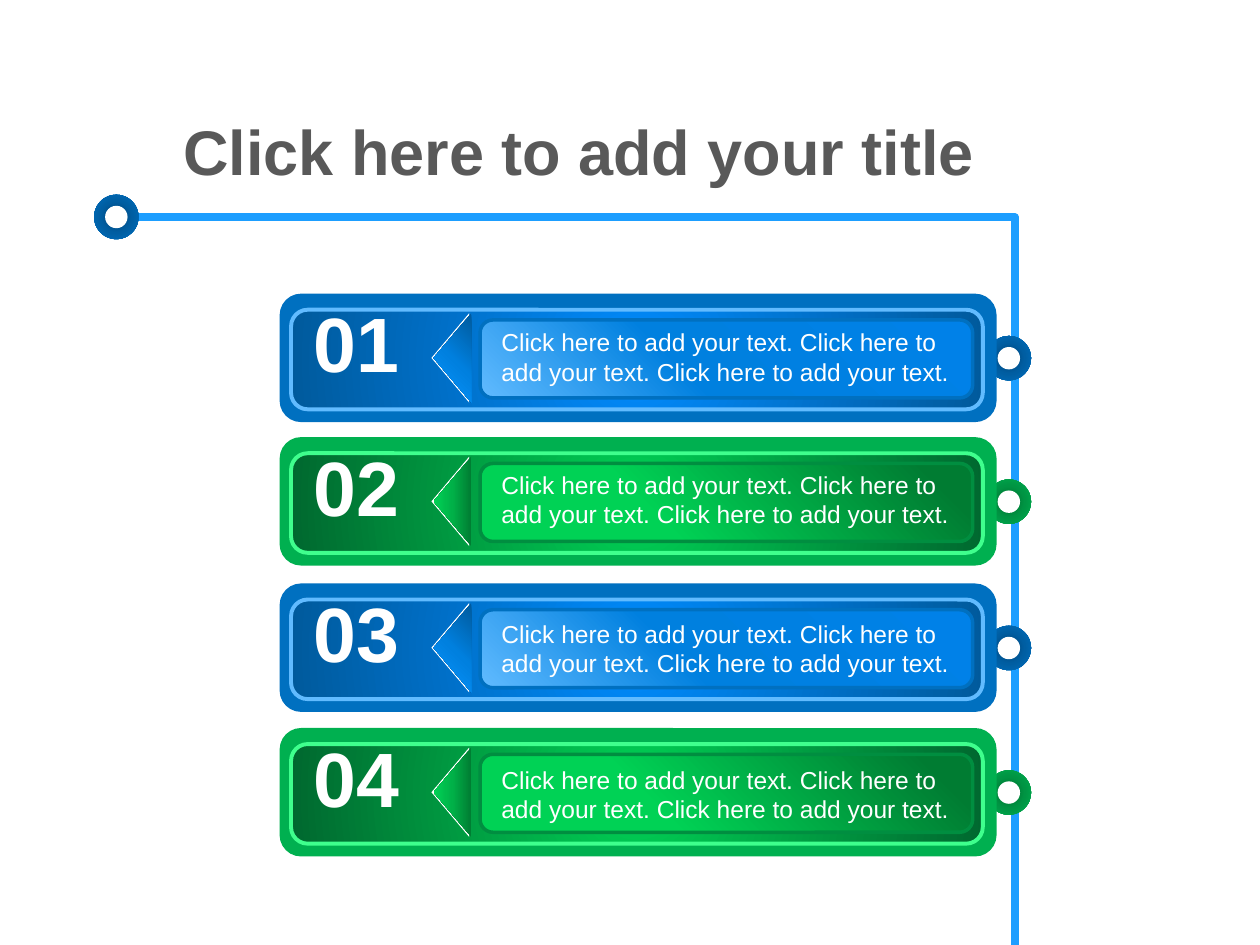
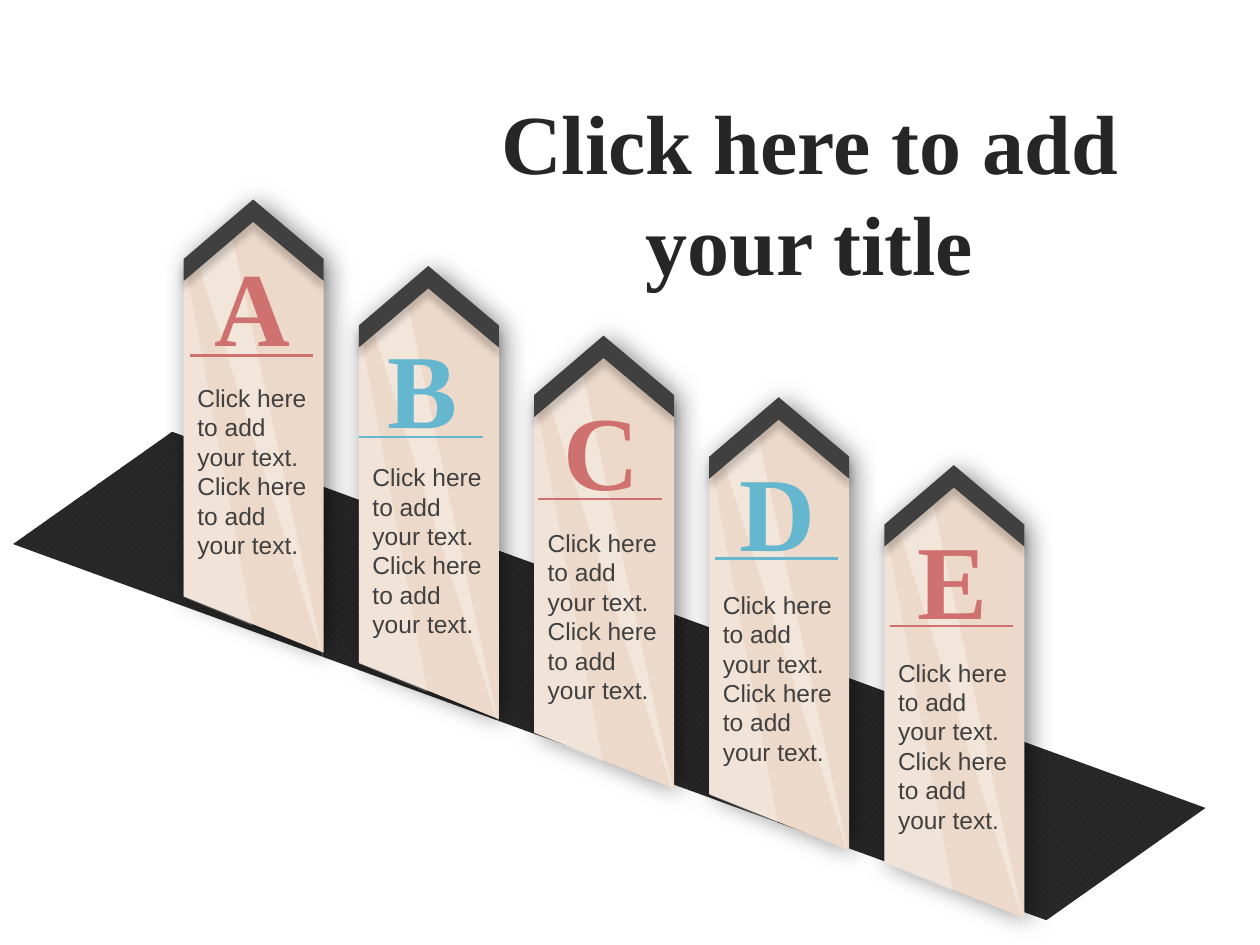
import dataclasses

import pptx
import pptx.dml.color
import pptx.enum.dml
import pptx.enum.shapes
import pptx.enum.text
import pptx.oxml
import pptx.oxml.ns
import pptx.util
from lxml import etree

Pt = pptx.util.Pt
qn = pptx.oxml.ns.qn
SHAPE = pptx.enum.shapes.MSO_SHAPE
CENTER = pptx.enum.text.PP_ALIGN.CENTER


@dataclasses.dataclass(frozen=True)
class Theme:
    sans: str = "Arial"
    serif: str = "Times New Roman"
    white: str = "FFFFFF"
    track: str = "1D9EFF"
    title_grey: str = "595959"
    title_black: str = "262626"
    body_grey: str = "404040"
    panel: str = "EDD9C9"
    red: str = "CF716F"
    sky: str = "64B7CE"
    checker: str = "343434"
    shadow: str = "000000"
    body_size: float = 14
    number_size: float = 44
    letter_size: float = 60
    banner_title_size: float = 36
    panel_title_size: float = 48


@dataclasses.dataclass(frozen=True)
class Palette:
    """Colours of one banner; gradients are lists of (position, colour)."""
    frame: str
    rim: str
    slot_line: str
    ring: tuple
    inner: tuple
    slot: tuple
    arrow: tuple
    arrow_angle: int


THEME = Theme()
BLUE = Palette(
    frame="0070C0", rim="61BBFF", slot_line="0070C0",
    ring=((0, "004272"), (50, "005EA2"), (100, "0070C0")),
    inner=((0, "008BFE"), (100, "005A9C")),
    slot=((0, "61BBFF"), (41, "0080DF"), (100, "0081E8")),
    arrow=((0, "005A9C"), (50, "0080DF"), (100, "0996FF")), arrow_angle=225)
GREEN = Palette(
    frame="00B050", rim="3FFF8D", slot_line="008E40",
    ring=((0, "00682F"), (50, "009443"), (100, "00B050")),
    inner=((0, "00D255"), (100, "00682F")),
    slot=((35, "00D255"), (91, "007C32")),
    arrow=((0, "007C32"), (50, "00B148"), (100, "00D255")), arrow_angle=270)

TITLE = "Click here to add your title"
SENTENCE = "Click here to add your text."
BANNER_TEXT = " ".join([SENTENCE] * 3)
PANEL_TEXT = " ".join([SENTENCE] * 2)

# number, palette, top of the banner, top of its text
BANNERS = [
    ("01", BLUE, 167.8, 183.6),
    ("02", GREEN, 249.8, 265),
    ("03", BLUE, 333.4, 350),
    ("04", GREEN, 416, 433.4),
]

# letter, colour, top of the panel, letter left and top, rule height, text top
PANELS = [
    ("A", THEME.red, 116, 106, 148.3, 203, 215.3),
    ("B", THEME.sky, 154, 203, 195.1, 249.8, 260.6),
    ("C", THEME.red, 193.8, 305.3, 230.4, 285.1, 298.1),
    ("D", THEME.sky, 229, 406, 265.7, 319, 333.4),
    ("E", THEME.red, 267.8, 506, 304.6, 357.8, 372.2),
]
PANEL_LEFT, PANEL_STEP = 105, 100.1

# outlines measured from the left edge and the top of a panel
BOARD = [(39.7, 0), (80, 34), (80, 257), (0, 224.8), (0, 34)]
GLARE = [(0, 31), (39.2, 241.5), (0, 225.3)]
ROOF = [(39.7, -2), (80, 32), (80, 44.6), (39.7, 10.8), (0, 44.6), (0, 32)]


def rgb(colour):
    return pptx.dml.color.RGBColor.from_string(colour)


def points(*lengths):
    return [Pt(length) for length in lengths]


def finish(shape, fill=None, line=None, line_width=0, alpha=None):
    """Set flat fill and line, and take the theme shadow away."""
    shape.shadow.inherit = False
    if fill:
        shape.fill.solid()
        shape.fill.fore_color.rgb = rgb(fill)
    else:
        shape.fill.background()
    if alpha is not None:
        colour = shape._element.spPr.find(qn("a:solidFill"))[0]
        etree.SubElement(colour, qn("a:alpha"), val=str(alpha * 1000))
    if line:
        shape.line.color.rgb = rgb(line)
        shape.line.width = Pt(line_width)
    else:
        shape.line.fill.background()
    return shape


def add_preset(page, kind, left, top, width, height, **look):
    shape = page.shapes.add_shape(kind, *points(left, top, width, height))
    return finish(shape, **look)


def add_outline(page, vertices, closed=True, **look):
    vertices = [tuple(points(*vertex)) for vertex in vertices]
    builder = page.shapes.build_freeform(*vertices[0])
    builder.add_line_segments(vertices[1:], close=closed)
    return finish(builder.convert_to_shape(), **look)


def set_gradient(shape, stops, angle=None):
    """Stops are (position, colour[, alpha]); without an angle it is radial."""
    gradient = etree.Element(qn("a:gradFill"), rotWithShape="1")
    stop_list = etree.SubElement(gradient, qn("a:gsLst"))
    for position, colour, *alpha in stops:
        stop = etree.SubElement(stop_list, qn("a:gs"), pos=str(position * 1000))
        tone = etree.SubElement(stop, qn("a:srgbClr"), val=colour)
        for value in alpha:
            etree.SubElement(tone, qn("a:alpha"), val=str(value * 1000))
    if angle is None:
        circle = etree.SubElement(gradient, qn("a:path"), path="circle")
        middle = dict.fromkeys("ltrb", "50000")
        etree.SubElement(circle, qn("a:fillToRect"), **middle)
    else:
        etree.SubElement(gradient, qn("a:lin"), ang=str(angle * 60000), scaled="0")
    shape.fill.background()
    properties = shape._element.spPr
    properties.replace(properties.find(qn("a:noFill")), gradient)


def add_shadow(shape, alpha, blur, distance, angle):
    effects = shape._element.spPr.find(qn("a:effectLst"))
    shadow = etree.SubElement(
        effects, qn("a:outerShdw"), blurRad=str(Pt(blur)), dist=str(Pt(distance)),
        dir=str(angle * 60000), algn="ctr", rotWithShape="0")
    colour = etree.SubElement(shadow, qn("a:srgbClr"), val=THEME.shadow)
    etree.SubElement(colour, qn("a:alpha"), val=str(alpha * 1000))


def add_text(page, text, left, top, width, height, size, colour,
             font=THEME.sans, bold=False, align=None, spacing=None):
    box = page.shapes.add_textbox(*points(left, top, width, height))
    frame = box.text_frame
    frame.word_wrap = True
    frame.auto_size = pptx.enum.text.MSO_AUTO_SIZE.SHAPE_TO_FIT_TEXT
    para = frame.paragraphs[0]
    para.alignment = align
    para.line_spacing = spacing
    span = para.add_run()
    span.text = text
    span.font.name = font
    span.font.size = Pt(size)
    span.font.bold = bold
    span.font.color.rgb = rgb(colour)
    return box


def add_rule(page, left, top, width, colour):
    rule = page.shapes.add_connector(
        pptx.enum.shapes.MSO_CONNECTOR.STRAIGHT, *points(left, top, left + width, top))
    rule.line.color.rgb = rgb(colour)
    rule.line.width = Pt(1.5)
    etree.SubElement(rule._element.spPr, qn("a:effectLst"))


def add_ring(page, left, top, stops):
    set_gradient(add_preset(page, SHAPE.OVAL, left, top, 25.4, 25.4), stops)
    add_preset(page, SHAPE.OVAL, left + 6.3, top + 6.3, 12.8, 12.8, fill=THEME.white)


def add_banner(page, number, palette, top, text_top):
    add_ring(page, 563.8, top + 24.2, palette.ring)
    rounded = SHAPE.ROUNDED_RECTANGLE
    add_preset(page, rounded, 159.8, top, 409.7, 73.4, fill=palette.frame)
    inner = add_preset(page, rounded, 166.3, top + 9.2, 395.3, 56.9,
                       line=palette.rim, line_width=2.25)
    set_gradient(inner, palette.inner)
    slot = add_preset(page, rounded, 274.3, top + 15, 281.5, 44.6,
                      line=palette.slot_line, line_width=2)
    set_gradient(slot, palette.slot, 315)
    for left in (231.8, 233):
        arrow = add_preset(page, SHAPE.ISOSCELES_TRIANGLE, left, top + 25.9, 51.1, 21.6,
                           fill=THEME.white)
        arrow.rotation = 270
    set_gradient(arrow, palette.arrow, palette.arrow_angle)
    add_text(page, number, 160.6, top + 7.9, 85.7, 49.7, THEME.number_size,
             THEME.white, bold=True, align=CENTER, spacing=0.8)
    add_text(page, BANNER_TEXT, 279.4, text_top, 284.4, 41, THEME.body_size, THEME.white)


def build_banner_page(page):
    add_outline(page, [(70.6, 124.2), (580, 124.2), (580, 540)], closed=False,
                line=THEME.track, line_width=4.5)
    add_ring(page, 53.8, 111.3, BLUE.ring)
    for banner in BANNERS:
        add_banner(page, *banner)
    add_text(page, TITLE, 69.1, 60.5, 523.4, 51.1, THEME.banner_title_size,
             THEME.title_grey, bold=True, align=CENTER)


def add_panel(page, left, letter, colour, top, letter_left, letter_top, rule_top, text_top):
    def place(outline):
        return [(left + x, top + y) for x, y in outline]

    board = add_outline(page, place(BOARD), fill=THEME.panel)
    add_shadow(board, alpha=49, blur=15, distance=3, angle=0)
    add_outline(page, place(GLARE), fill=THEME.white, alpha=28)
    sliver = add_preset(page, SHAPE.RIGHT_TRIANGLE, left + 42.6, top + 19.4, 23, 244,
                        fill=THEME.white, alpha=32)
    sliver.rotation = 342.4
    sliver._element.spPr.xfrm.set("flipV", "1")
    roof = add_outline(page, place(ROOF), fill=THEME.body_grey)
    add_shadow(roof, alpha=19, blur=4, distance=5, angle=90)
    add_text(page, letter, letter_left, letter_top, 77, 67.7, THEME.letter_size, colour,
             THEME.serif, bold=True, align=CENTER, spacing=0.8)
    add_rule(page, letter_left + 2.4, rule_top, 70.7, colour)
    add_text(page, PANEL_TEXT, left + 0.7, text_top, 77, 108.7, THEME.body_size,
             THEME.body_grey)


def add_slope(page, left, top, width, height):
    slope = add_preset(page, SHAPE.PARALLELOGRAM, left, top, width, height)
    slope.adjustments[0] = 0.695
    slope.rotation = 20
    return slope


def build_panel_page(page):
    floor = add_slope(page, 2.2, 340.6, 691.9, 91.4)
    floor.fill.patterned()
    floor.fill.pattern = pptx.enum.dml.MSO_PATTERN.LARGE_CHECKER_BOARD
    floor.fill.fore_color.rgb = rgb(THEME.checker)
    floor.fill.back_color.rgb = rgb(THEME.title_black)
    for index, panel in enumerate(PANELS):
        add_panel(page, PANEL_LEFT + index * PANEL_STEP, *panel)
    title = add_text(page, TITLE, 401, -73.4, 131, 374.4, THEME.panel_title_size,
                     THEME.title_black, THEME.serif, bold=True, align=CENTER)
    title.rotation = 270
    title.text_frame._txBody.bodyPr.set("vert", "eaVert")
    front_edge = add_slope(page, -6.5, 393.1, 646.6, 31.7)
    set_gradient(front_edge, [(0, THEME.title_black), (40, THEME.body_grey, 0)], 270)


def main():
    deck = pptx.Presentation()
    deck.slide_width, deck.slide_height = points(720, 540)
    for build in (build_banner_page, build_panel_page):
        build(deck.slides.add_slide(deck.slide_layouts[6]))
    deck.save("out.pptx")


if __name__ == "__main__":
    main()
